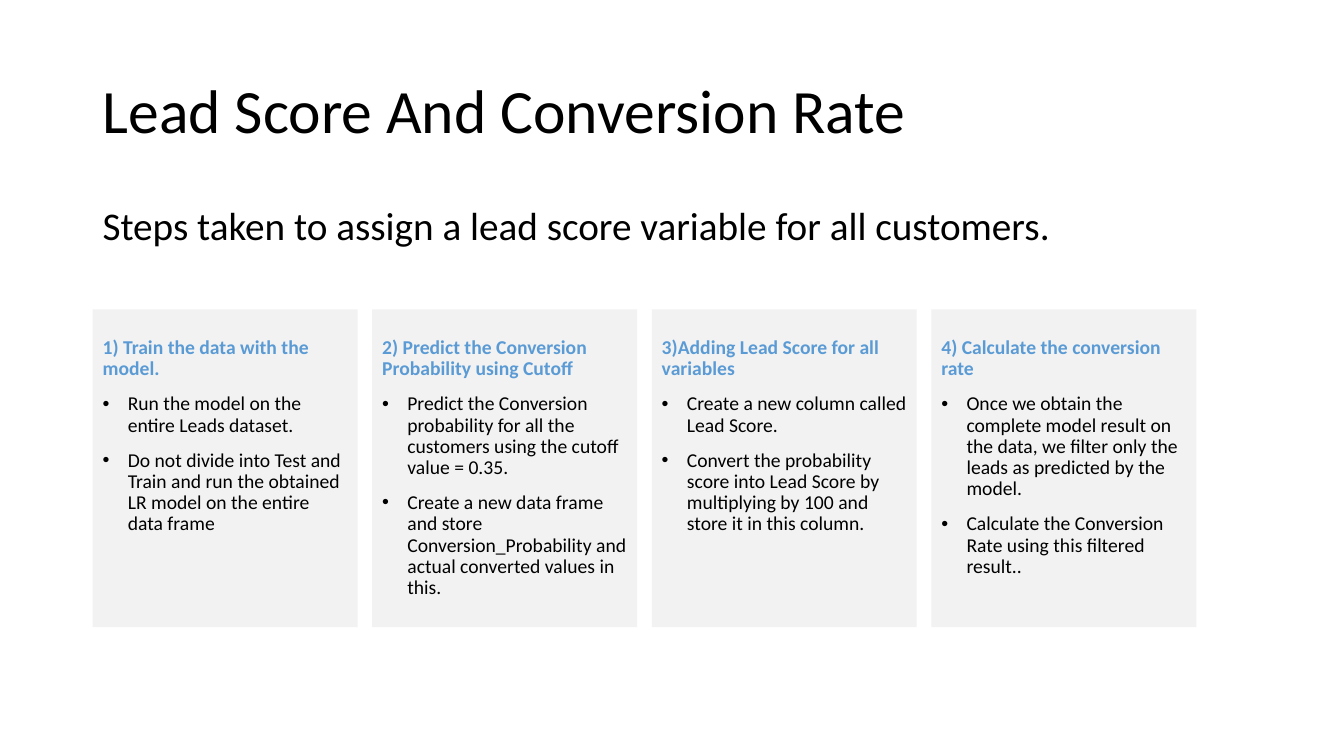
"""Build the slide on lead score and conversion rate."""
from dataclasses import dataclass

from lxml import etree
from pptx import Presentation
from pptx.dml.color import RGBColor
from pptx.enum.shapes import MSO_SHAPE
from pptx.enum.text import MSO_ANCHOR
from pptx.oxml.ns import qn
from pptx.slide import Slide
from pptx.text.text import TextFrame, _Paragraph
from pptx.util import Pt

RECTANGLE = MSO_SHAPE.RECTANGLE
TOP = MSO_ANCHOR.TOP
MIDDLE = MSO_ANCHOR.MIDDLE
BLANK_LAYOUT = 6


@dataclass(frozen=True)
class Theme:
    font: str = "Calibri"
    ink: RGBColor = RGBColor(0x00, 0x00, 0x00)
    accent: RGBColor = RGBColor(0x5B, 0x9B, 0xD5)
    panel: RGBColor = RGBColor(0xF2, 0xF2, 0xF2)
    title_size: float = 44
    lead_size: float = 28
    step_size: float = 14


@dataclass(frozen=True)
class Area:
    left: float
    top: float
    width: float
    height: float


@dataclass(frozen=True)
class Step:
    heading: str
    actions: tuple[str, ...]


THEME = Theme()
LEFT = 66.2
STEP_PITCH = 199.7
STEP_WIDTH = 189.2
PANEL_TOP = 221
PANEL_HEIGHT = 227
TEXT_DROP = 16.6
BULLET_INDENT = 18
TITLE_AREA = Area(LEFT, 28.8, 828, 104.4)
LEAD_AREA = Area(LEFT, 144, 828, 64)

STEPS = (
    Step("1) Train the data with the model.", (
        "Run the model on the entire Leads dataset.",
        "Do not divide into Test and Train and run the obtained LR model on the entire data frame",
    )),
    Step("2) Predict the Conversion Probability using Cutoff", (
        "Predict the Conversion probability for all the customers using the cutoff value = 0.35.",
        "Create a new data frame and store Conversion_Probability and actual converted values in this.",
    )),
    Step("3)Adding Lead Score for all variables", (
        "Create a new column called Lead Score.",
        "Convert the probability score into Lead Score by multiplying by 100 and store it in this column.",
    )),
    Step("4) Calculate the conversion rate", (
        "Once we obtain the complete model result on the data, we filter only the leads as predicted by the model.",
        "Calculate the Conversion Rate using this filtered result..",
    )),
)


def add_box(page: Slide, area: Area, anchor: MSO_ANCHOR = TOP) -> TextFrame:
    """Add a wrapping text box and return its text frame."""
    box = page.shapes.add_textbox(Pt(area.left), Pt(area.top), Pt(area.width), Pt(area.height))
    frame = box.text_frame
    frame.word_wrap = True
    frame.vertical_anchor = anchor
    return frame


def write(para: _Paragraph, text: str, size: float, color: RGBColor = THEME.ink,
          bold: bool = False, before: float = 10) -> None:
    """Fill a paragraph with one styled run."""
    para.line_spacing = 0.9
    para.space_before = Pt(before)
    span = para.add_run()
    span.text = text
    span.font.name = THEME.font
    span.font.size = Pt(size)
    span.font.bold = bold
    span.font.color.rgb = color


def add_bullet(para: _Paragraph) -> None:
    """Give a paragraph a hanging round bullet."""
    properties = para._p.get_or_add_pPr()
    properties.set("marL", str(Pt(BULLET_INDENT)))
    properties.set("indent", str(-Pt(BULLET_INDENT)))
    etree.SubElement(properties, qn("a:buFont"), typeface="Arial")
    etree.SubElement(properties, qn("a:buChar"), char="•")


def draw_panel(page: Slide, area: Area) -> None:
    """Draw the plain panel behind a step."""
    panel = page.shapes.add_shape(RECTANGLE, Pt(area.left), Pt(area.top), Pt(area.width), Pt(area.height))
    panel.shadow.inherit = False
    panel.fill.solid()
    panel.fill.fore_color.rgb = THEME.panel
    panel.line.fill.background()


def draw_step(page: Slide, step: Step, left: float) -> None:
    """Draw one step: its panel, heading and bulleted actions."""
    draw_panel(page, Area(left, PANEL_TOP, STEP_WIDTH, PANEL_HEIGHT))
    frame = add_box(page, Area(left, PANEL_TOP + TEXT_DROP, STEP_WIDTH, PANEL_HEIGHT - TEXT_DROP))
    write(frame.paragraphs[0], step.heading, THEME.step_size, THEME.accent, bold=True)
    for action in step.actions:
        para = frame.add_paragraph()
        write(para, action, THEME.step_size)
        add_bullet(para)


def main() -> None:
    """Build and save the deck."""
    deck = Presentation()
    deck.slide_width, deck.slide_height = Pt(960), Pt(540)
    page = deck.slides.add_slide(deck.slide_layouts[BLANK_LAYOUT])
    title = add_box(page, TITLE_AREA, MIDDLE)
    write(title.paragraphs[0], "Lead Score And Conversion Rate", THEME.title_size, before=0)
    lead = add_box(page, LEAD_AREA)
    write(lead.paragraphs[0], "Steps taken to assign a lead score variable for all customers.", THEME.lead_size)
    for index, step in enumerate(STEPS):
        draw_step(page, step, LEFT + index * STEP_PITCH)
    deck.save("out.pptx")


main()
